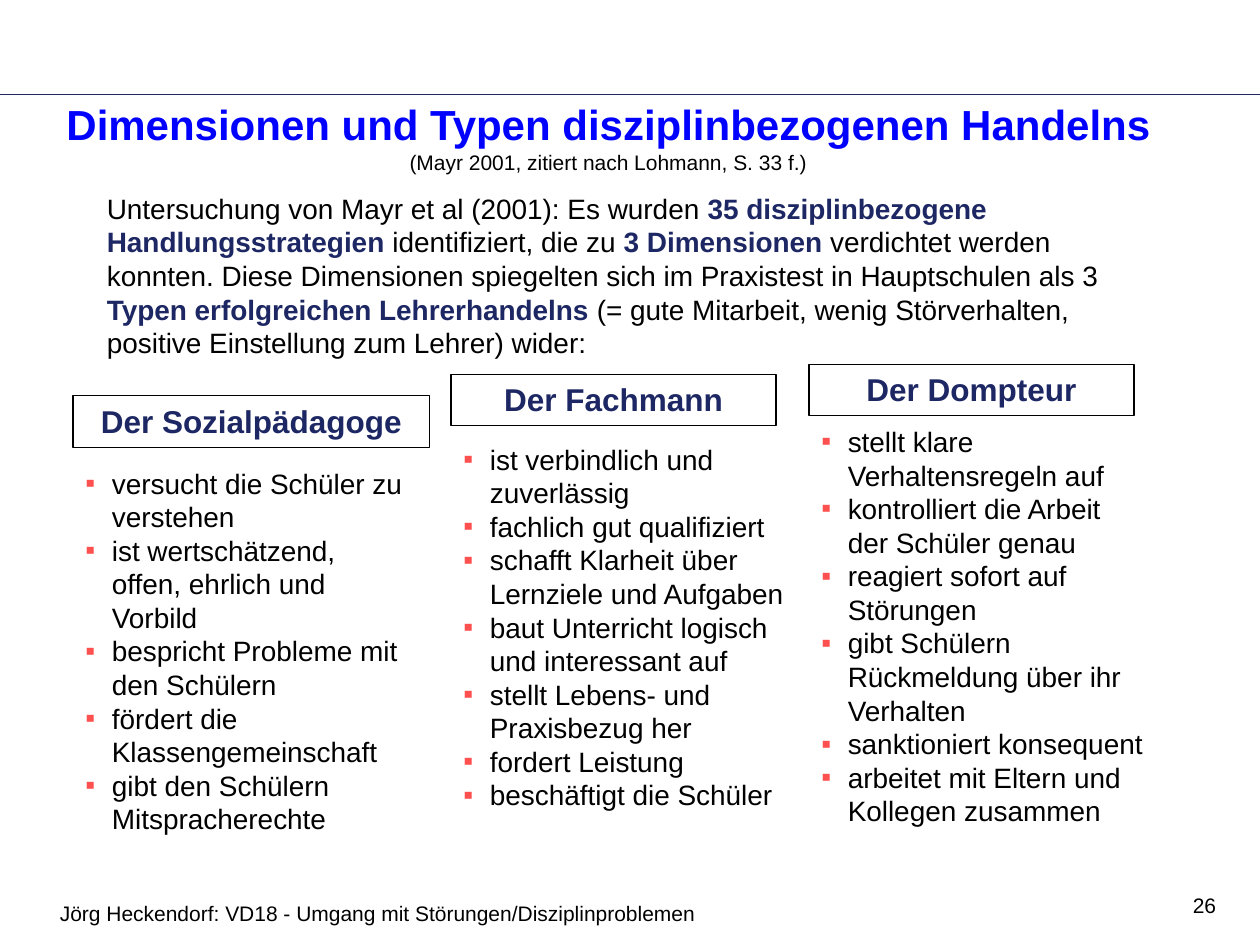
from copy import deepcopy

from lxml import etree
from pptx import Presentation
from pptx.dml.color import RGBColor
from pptx.enum.shapes import MSO_CONNECTOR, MSO_SHAPE
from pptx.enum.text import MSO_ANCHOR as ANCHOR, MSO_AUTO_SIZE as AUTO, PP_ALIGN as ALIGN
from pptx.oxml.ns import qn
from pptx.util import Inches, Pt

COLORS = {"title": "0000FF", "navy": "1D2763", "text": "000000", "bullet": "FF5050"}


def add_run(p, text, size, color="text", bold=False):
    r = p.add_run()
    r.text = text
    style = {"name": "Arial", "size": Pt(size), "bold": bold}
    for name, value in style.items():
        setattr(r.font, name, value)
    r.font.color.rgb = RGBColor.from_string(COLORS[color])
    return r


def add_box(left, top, width, height, anchor=ANCHOR.TOP):
    """Add a wrapping text box and return its text frame."""
    box = s.shapes.add_textbox(*map(Inches, (left, top, width, height)))
    tf = box.text_frame
    tf.word_wrap = True
    tf.vertical_anchor = anchor
    return tf


prs = Presentation()
prs.slide_width, prs.slide_height = Inches(10), Inches(7.5)
s = prs.slides.add_slide(prs.slide_layouts[5])

# Rule above the title
rule = s.shapes.add_connector(MSO_CONNECTOR.STRAIGHT, 0, Inches(0.75), Inches(10), Inches(0.75))
rule.line.color.rgb = RGBColor.from_string(COLORS["navy"])
rule.line.width = Pt(0.25)
etree.SubElement(rule._element.spPr, qn("a:effectLst"))

# Title with its source on a second line
title = s.shapes.title
place = {"left": 0.33, "top": 0.46, "width": 9, "height": 1.25}
for name, value in place.items():
    setattr(title, name, Inches(value))
tf = title.text_frame
tf.auto_size = AUTO.NONE
tf.vertical_anchor = ANCHOR.MIDDLE
p = tf.paragraphs[0]
p.alignment = ALIGN.CENTER
heading = add_run(p, "Dimensionen und Typen disziplinbezogenen Handelns", 24, "title", True)
p.add_line_break()
p._p.find(qn("a:br")).append(deepcopy(heading._r.rPr))
add_run(p, "(Mayr 2001, zitiert nach Lohmann, S. 33 f.)", 12)

# Introduction, with the key terms in bold navy
intro = [
    ("Untersuchung von Mayr et al (2001): Es wurden ", False),
    ("35 disziplinbezogene Handlungsstrategien", True),
    (" identifiziert, die zu ", False),
    ("3 Dimensionen", True),
    (" verdichtet werden konnten. Diese Dimensionen spiegelten sich im "
     "Praxistest in Hauptschulen als 3 ", False),
    ("Typen erfolgreichen Lehrerhandelns ", True),
    ("(= gute Mitarbeit, wenig Störverhalten, positive Einstellung zum Lehrer) wider:", False),
]
p = add_box(0.75, 1.47, 8.5, 1.44).paragraphs[0]
for text, key in intro:
    add_run(p, text, 16, "navy" if key else "text", key)

# Teacher types: name, left, heading top, heading width, list top, list height, traits
types = [
    ("Der Sozialpädagoge", 0.58, 3.14, 2.83, 3.65, 3.31, [
        "versucht die Schüler zu verstehen",
        "ist wertschätzend, offen, ehrlich und Vorbild",
        "bespricht Probleme mit den Schülern",
        "fördert die Klassengemeinschaft",
        "gibt den Schülern Mitspracherechte"]),
    ("Der Fachmann", 3.58, 2.97, 2.58, 3.46, 3.31, [
        "ist verbindlich und zuverlässig",
        "fachlich gut qualifiziert",
        "schafft Klarheit über Lernziele und Aufgaben",
        "baut Unterricht logisch und interessant auf",
        "stellt Lebens- und Praxisbezug her",
        "fordert Leistung",
        "beschäftigt die Schüler"]),
    ("Der Dompteur", 6.42, 2.89, 2.58, 3.32, 3.84, [
        "stellt klare Verhaltensregeln auf",
        "kontrolliert die Arbeit der Schüler genau",
        "reagiert sofort auf Störungen",
        "gibt Schülern Rückmeldung über ihr Verhalten",
        "sanktioniert konsequent",
        "arbeitet mit Eltern und Kollegen zusammen"]),
]
for name, left, top, width, list_top, list_height, traits in types:
    sp = s.shapes.add_shape(MSO_SHAPE.RECTANGLE, *map(Inches, (left, top, width, 0.41)))
    sp.shadow.inherit = False
    sp.fill.background()
    sp.line.color.rgb = RGBColor.from_string(COLORS["text"])
    sp.line.width = Pt(0.75)
    sp.text_frame.vertical_anchor = ANCHOR.TOP
    p = sp.text_frame.paragraphs[0]
    p.alignment = ALIGN.CENTER
    add_run(p, name, 18, "navy", True)

    tf = add_box(left, list_top, 2.75, list_height)
    for i, trait in enumerate(traits):
        p = tf.add_paragraph() if i else tf.paragraphs[0]
        pPr = p._p.get_or_add_pPr()
        pPr.set("marL", str(Inches(0.21)))
        pPr.set("indent", str(-Inches(0.21)))
        color = etree.SubElement(pPr, qn("a:buClr"))
        etree.SubElement(color, qn("a:srgbClr"), val=COLORS["bullet"])
        etree.SubElement(pPr, qn("a:buFont"), typeface="Arial")
        etree.SubElement(pPr, qn("a:buChar"), char="▪")
        add_run(p, trait, 16)

# Footer and page number
footers = [
    ("Jörg Heckendorf: VD18 - Umgang mit Störungen/Disziplinproblemen",
     0, 7.05, 6.0, ALIGN.CENTER),
    ("26", 9.1, 6.98, 0.65, ALIGN.RIGHT),
]
for text, left, top, width, align in footers:
    p = add_box(left, top, width, 0.4, ANCHOR.MIDDLE).paragraphs[0]
    p.alignment = align
    add_run(p, text, 12)

prs.save("out.pptx")
